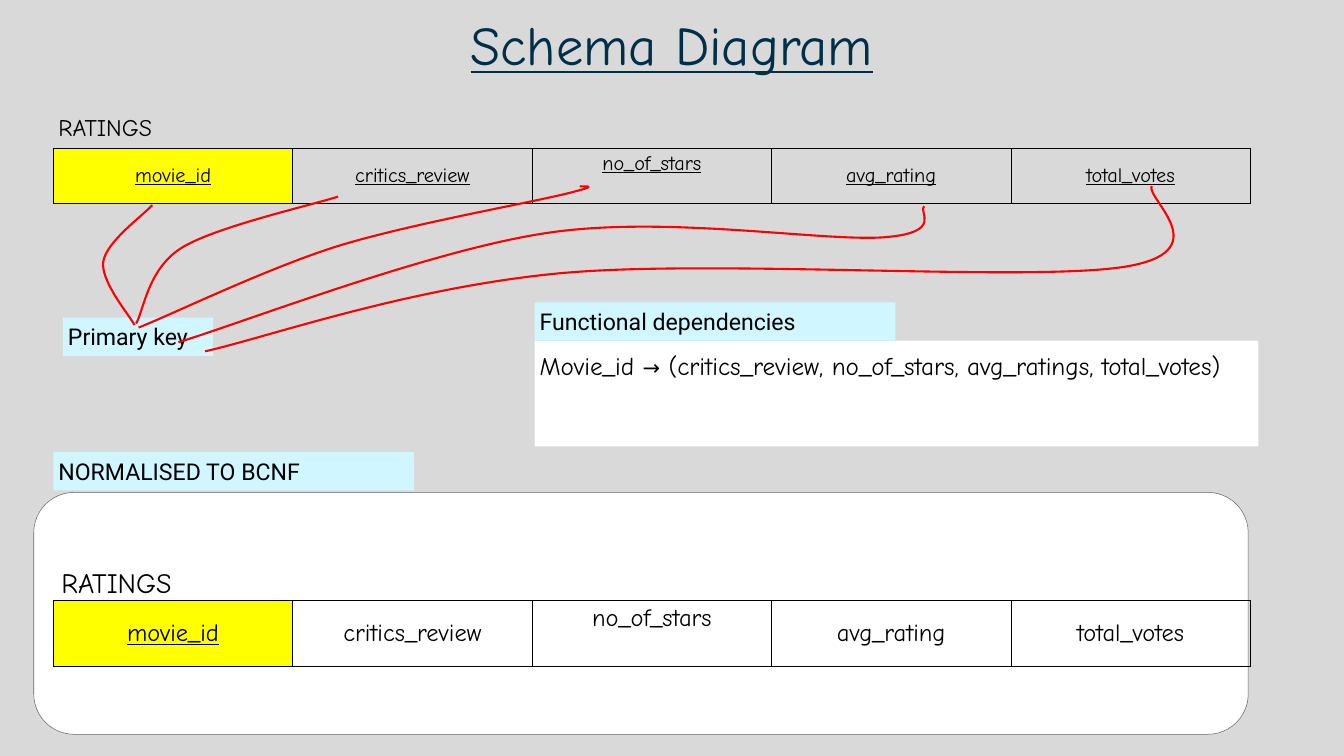
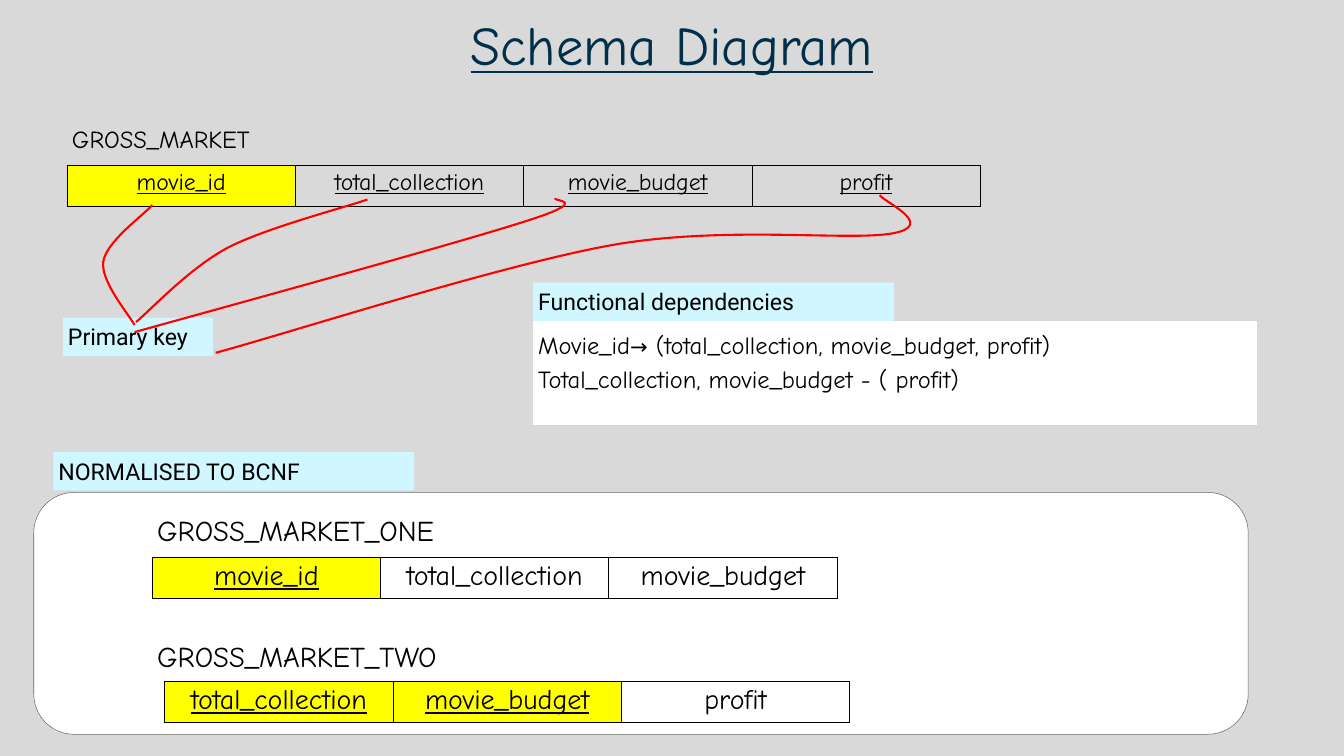
from dataclasses import dataclass

from lxml import etree
from pptx import Presentation
from pptx import util as u
from pptx.dml.color import RGBColor
from pptx.enum import shapes, text
from pptx.oxml import ns


@dataclass(frozen=True)
class Theme:
    background: str = "D9D9D9"
    title: str = "002F4A"
    ink: str = "000000"
    label: str = "D0F6FF"
    panel: str = "FFFFFF"
    panel_line: str = "666666"
    key: str = "FFFF00"
    curve: str = "FF0000"
    hand: str = "Comic Neue"
    plain: str = "Roboto"
    title_size: int = 78
    label_size: int = 33
    arrow_size: int = 30


theme = Theme()
color = RGBColor.from_string
TOP, MIDDLE = text.MSO_ANCHOR.TOP, text.MSO_ANCHOR.MIDDLE
LEFT, CENTER = text.PP_ALIGN.LEFT, text.PP_ALIGN.CENTER


def style(frame, font, size, ink=theme.ink, align=LEFT, spacing=1.0, underline=False):
    """Format every paragraph and run of a text frame."""
    for para in frame.paragraphs:
        para.alignment = align
        para.line_spacing = spacing
        for span in para.runs:
            span.font.name = font
            span.font.size = u.Pt(size)
            span.font.color.rgb = color(ink)
            span.font.underline = underline


def add_box(page, left, top, width, height, fill=None):
    """Add a plain text area, with a fill if one is given."""
    area = [u.Inches(n) for n in (left, top, width, height)]
    if fill:
        box = page.shapes.add_shape(shapes.MSO_SHAPE.RECTANGLE, *area)
        box.shadow.inherit = False
        box.fill.solid()
        box.fill.fore_color.rgb = color(fill)
        box.line.fill.background()
    else:
        box = page.shapes.add_textbox(*area)
    frame = box.text_frame
    frame.word_wrap = True
    frame.vertical_anchor = TOP
    frame.margin_left = frame.margin_right = u.Inches(0.1)
    frame.margin_top = frame.margin_bottom = u.Inches(0.1)
    return frame


# Content: curves are a start point followed by groups of three Bezier points
key_curve = [(2.67, 6.45), (2.56, 6.24), (1.99, 5.58), (2.05, 5.19),
             (2.11, 4.79), (2.86, 4.26), (3.02, 4.07)]
rating_columns = ["movie_id", "critics_review", "no_of_stars", "avg_rating", "total_votes"]
market_columns = ["movie_id", "total_collection", "movie_budget", "profit"]

pages = [
    dict(
        dependency_at=(10.61, 6.0), dependency_height=2.1, dependency_size=36,
        dependencies=["Movie_id → (critics_review, no_of_stars, avg_ratings, total_votes)"],
        column_width=4.75, anchor=MIDDLE, raised="no_of_stars", caption_spacing=1.0,
        # name, caption place, caption size, table place, row height, size,
        # columns, key count, underlined count
        tables=[
            ("RATINGS", (1.06, 2.13), 34, (1.06, 2.94), 1.09, 29, rating_columns, 1, 5),
            ("RATINGS", (1.12, 11.13), 40, (1.06, 11.92), 1.31, 35, rating_columns, 1, 1),
        ],
        curves=[
            [(2.7, 6.42), (2.85, 6.17), (2.93, 5.34), (3.6, 4.92),
             (4.27, 4.5), (6.19, 4.07), (6.71, 3.9)],
            [(2.75, 6.5), (3.41, 6.24), (5.26, 5.34), (6.68, 4.89),
             (8.1, 4.45), (10.44, 4.04), (11.25, 3.84),
             (12.06, 3.64), (11.47, 3.72), (11.51, 3.69)],
            [(3.54, 6.79), (4.77, 6.42), (8.54, 4.96), (10.87, 4.62),
             (13.2, 4.27), (16.27, 4.79), (17.52, 4.71),
             (18.76, 4.62), (18.2, 4.19), (18.34, 4.09)],
            [(4.07, 6.97), (5.25, 6.71), (8.1, 5.7), (11.13, 5.42),
             (14.17, 5.14), (20.31, 5.59), (22.27, 5.3),
             (24.22, 5.01), (22.75, 3.96), (22.85, 3.69)],
        ],
    ),
    dict(
        dependency_at=(10.58, 5.61), dependency_height=2.06, dependency_size=35,
        dependencies=["Movie_id→ (total_collection, movie_budget, profit)",
                      "Total_collection, movie_budget - ( profit)"],
        column_width=4.53, anchor=TOP, raised=None, caption_spacing=1.15,
        tables=[
            ("GROSS_MARKET", (1.33, 2.28), 35, (1.33, 3.28), 0.82, 34, market_columns, 1, 4),
            ("GROSS_MARKET_ONE", (3.02, 9.97), 41, (3.02, 11.05), 0.82, 40,
             market_columns[:3], 1, 1),
            ("GROSS_MARKET_TWO", (3.02, 12.48), 41, (3.27, 13.51), 0.82, 40,
             market_columns[1:], 2, 2),
        ],
        curves=[
            [(2.7, 6.39), (3, 6.14), (3.75, 5.33), (4.51, 4.92),
             (5.28, 4.52), (6.83, 4.12), (7.29, 3.96)],
            [(2.67, 6.59), (3.96, 6.23), (9.04, 4.84), (10.43, 4.39),
             (11.82, 3.95), (10.92, 4), (11.02, 3.93)],
            [(4.28, 7), (5.59, 6.65), (9.92, 5.26), (12.16, 4.86),
             (14.4, 4.47), (16.84, 4.79), (17.72, 4.63),
             (18.61, 4.46), (17.5, 3.99), (17.46, 3.87)],
        ],
    ),
]

deck = Presentation()
deck.slide_width, deck.slide_height = u.Inches(26.67), u.Inches(15)

for content in pages:
    page = deck.slides.add_slide(deck.slide_layouts[6])
    page.background.fill.solid()
    page.background.fill.fore_color.rgb = color(theme.background)

    # Title
    frame = add_box(page, 1.33, 0.4, 24, 1.89)
    frame.margin_top = frame.margin_bottom = u.Inches(0.06)
    frame.text = "Schema Diagram"
    style(frame, theme.hand, theme.title_size, theme.title, CENTER, 0.8, True)

    # Functional dependencies, with a smaller arrow
    left, top = content["dependency_at"]
    frame = add_box(page, left, top + 0.76, 14.36, content["dependency_height"], theme.panel)
    for index, line in enumerate(content["dependencies"]):
        para = frame.add_paragraph() if index else frame.paragraphs[0]
        for part in line.partition("→"):
            if part:
                para.add_run().text = part
    style(frame, theme.hand, content["dependency_size"], spacing=1.15)
    for para in frame.paragraphs:
        for span in para.runs:
            if span.text == "→":
                span.font.size = u.Pt(theme.arrow_size)

    # Section labels
    for label, label_left, label_top, width in (
        ("Primary key", 1.25, 6.3, 2.98),
        ("Functional dependencies", left, top, 7.16),
        ("NORMALISED TO BCNF", 1.06, 8.97, 7.16),
    ):
        frame = add_box(page, label_left, label_top, width, 0.76, theme.label)
        frame.text = label
        style(frame, theme.plain, theme.label_size)

    # Panel behind the normalised tables
    panel = page.shapes.add_shape(
        shapes.MSO_SHAPE.ROUNDED_RECTANGLE,
        u.Inches(0.67), u.Inches(9.77), u.Inches(24.1), u.Inches(4.8))
    panel.shadow.inherit = False
    panel.fill.solid()
    panel.fill.fore_color.rgb = color(theme.panel)
    panel.line.color.rgb = color(theme.panel_line)
    panel.line.width = u.Pt(0.75)

    # Tables and their captions
    for (name, caption_at, caption_size, table_at, row_height, size,
         columns, keys, underlined) in content["tables"]:
        frame = add_box(page, *caption_at, 8.84, 0.85)
        frame.text = name
        style(frame, theme.hand, caption_size, spacing=content["caption_spacing"])

        table = page.shapes.add_table(
            1, len(columns), u.Inches(table_at[0]), u.Inches(table_at[1]),
            u.Inches(content["column_width"] * len(columns)), u.Inches(row_height)).table
        table.first_row = table.horz_banding = False
        for index, column in enumerate(columns):
            table.columns[index].width = u.Inches(content["column_width"])
            cell = table.cell(0, index)
            cell.text = column
            cell.margin_left = cell.margin_right = u.Inches(0.07)
            cell.margin_top = cell.margin_bottom = u.Inches(0.07)
            cell.vertical_anchor = TOP if column == content["raised"] else content["anchor"]
            style(cell.text_frame, theme.hand, size, align=CENTER, underline=index < underlined)
            properties = cell._tc.get_or_add_tcPr()
            for side in ("a:lnL", "a:lnR", "a:lnT", "a:lnB"):
                border = etree.SubElement(properties, ns.qn(side), w=str(u.Pt(1)))
                solid = etree.SubElement(border, ns.qn("a:solidFill"))
                etree.SubElement(solid, ns.qn("a:srgbClr"), val=theme.ink)
            if index < keys:
                cell.fill.solid()
                cell.fill.fore_color.rgb = color(theme.key)
            else:
                cell.fill.background()

    # Curves from the primary key label to the key columns
    for points in [key_curve] + content["curves"]:
        start, *rest = [(u.Inches(x), u.Inches(y)) for x, y in points]
        builder = page.shapes.build_freeform(*start)
        builder.add_line_segments(rest, close=False)
        curve = builder.convert_to_shape()
        curve.shadow.inherit = False
        curve.fill.background()
        curve.line.color.rgb = color(theme.curve)
        curve.line.width = u.Pt(3)
        # Merge each three segments into one Bezier segment
        segments = list(curve._element.iter(ns.qn("a:lnTo")))
        outline = segments[0].getparent()
        for index in range(0, len(segments), 3):
            bezier = etree.SubElement(outline, ns.qn("a:cubicBezTo"))
            for segment in segments[index:index + 3]:
                bezier.append(segment[0])
                outline.remove(segment)

deck.save("out.pptx")
